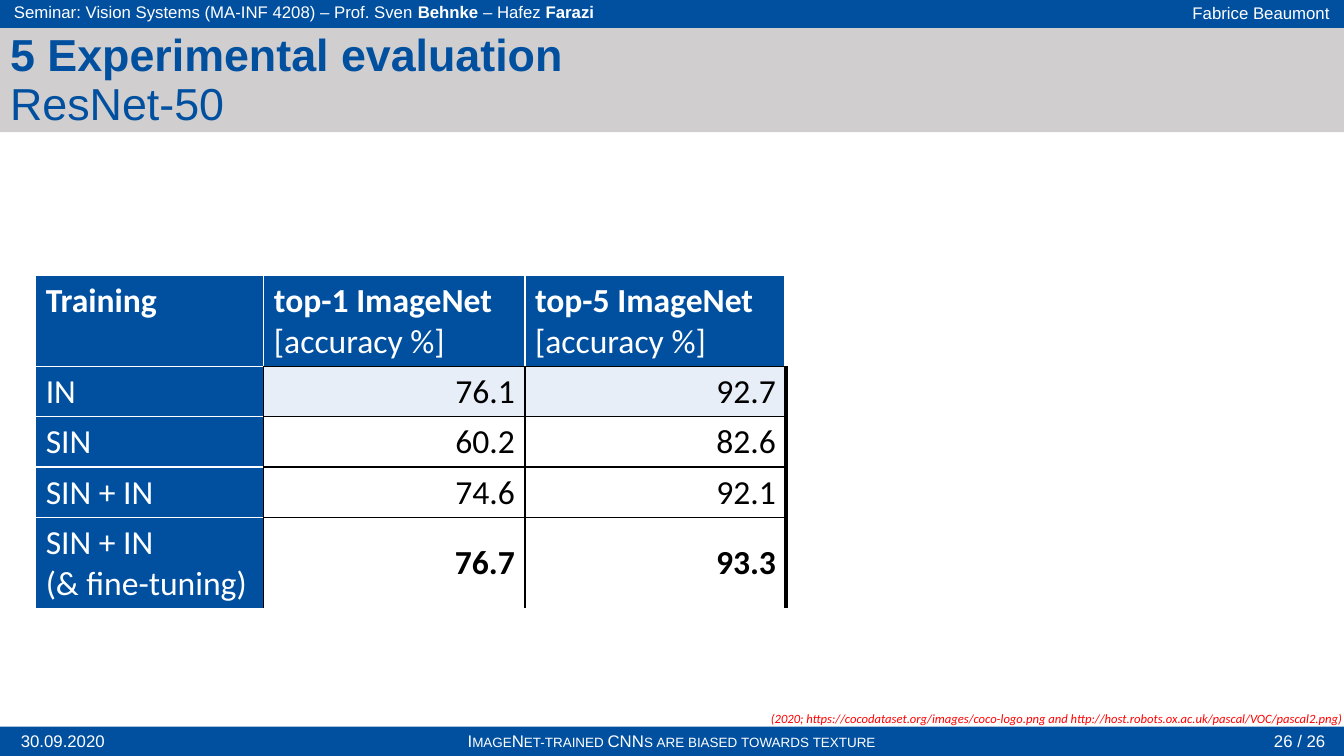
import pptx
import pptx.util
import pptx.dml.color
import pptx.enum.shapes
import pptx.enum.text
import pptx.oxml.ns
import lxml.etree

Cm, Pt = pptx.util.Cm, pptx.util.Pt
RGBColor = pptx.dml.color.RGBColor
ALIGN = pptx.enum.text.PP_ALIGN
ANCHOR = pptx.enum.text.MSO_ANCHOR

BLUE = RGBColor(0x01, 0x50, 0xA0)
GREY = RGBColor(0xD0, 0xCE, 0xCE)
PALE = RGBColor(0xE8, 0xEE, 0xF8)
WHITE = RGBColor(0xFF, 0xFF, 0xFF)
BLACK = RGBColor(0x00, 0x00, 0x00)
RED = RGBColor(0xFF, 0x00, 0x00)


def write(paragraph, pieces, font_name, size, color, align=ALIGN.LEFT):
    """Fill a paragraph with (text, bold) pieces; a piece "\\n" breaks the line."""
    paragraph.alignment = align
    paragraph.font.name = font_name
    paragraph.font.size = Pt(size)
    paragraph.font.color.rgb = color
    for text, bold in pieces:
        if text == "\n":
            paragraph.add_line_break()
            continue
        run = paragraph.add_run()
        run.text = text
        run.font.bold = bold


def set_border(cell, side, color, width):
    properties = cell._tc.get_or_add_tcPr()
    line = lxml.etree.SubElement(
        properties, pptx.oxml.ns.qn(f"a:ln{side}"), w=str(Pt(width)))
    fill = lxml.etree.SubElement(line, pptx.oxml.ns.qn("a:solidFill"))
    lxml.etree.SubElement(fill, pptx.oxml.ns.qn("a:srgbClr"), val=str(color))


presentation = pptx.Presentation()
presentation.slide_width = Cm(33.87)
presentation.slide_height = Cm(19.05)
slide = presentation.slides.add_slide(presentation.slide_layouts[5])
shapes = slide.shapes

# Header, footer and title bands
for top, height, color in [(18.31, 0.74, BLUE), (-0.03, 0.74, BLUE), (0.71, 2.62, GREY)]:
    band = shapes.add_shape(pptx.enum.shapes.MSO_SHAPE.RECTANGLE,
                            0, Cm(top), presentation.slide_width, Cm(height))
    band.shadow.inherit = False
    band.fill.solid()
    band.fill.fore_color.rgb = color
    band.line.fill.background()

seminar = [("Seminar: Vision Systems (MA-INF 4208) – Prof. Sven ", False), ("Behnke", True),
           (" – Hafez ", False), ("Farazi", True)]
talk = [("ImageNet-trained CNNs are biased towards texture", False)]
band_texts = [
    (26.44, -0.05, 7.32, [("Fabrice Beaumont", False)], ALIGN.RIGHT),
    (0.05, 18.31, 3.07, [("30.09.2020", False)], ALIGN.CENTER),
    (10.13, 18.31, 13.59, talk, ALIGN.CENTER),
    (0.1, -0.08, 20.96, seminar, ALIGN.LEFT),
    (31.34, 18.31, 2.31, [("26 / 26", False)], ALIGN.RIGHT),
]
for left, top, width, pieces, align in band_texts:
    frame = shapes.add_textbox(Cm(left), Cm(top), Cm(width), Cm(0.74)).text_frame
    frame.word_wrap = True
    frame.vertical_anchor = ANCHOR.MIDDLE
    write(frame.paragraphs[0], pieces, "Arial", 12, WHITE, align)
    if pieces is talk:
        frame.paragraphs[0].runs[0]._r.get_or_add_rPr().set("cap", "small")

# Title, brought in front of its band
title = shapes.title
title.left, title.top, title.width, title.height = 0, Cm(0.71), Cm(29.21), Cm(2.62)
shapes._spTree.append(title._element)
title.text_frame.vertical_anchor = ANCHOR.TOP
title.text_frame.auto_size = pptx.enum.text.MSO_AUTO_SIZE.NONE
heading = title.text_frame.paragraphs[0]
heading.line_spacing = 0.9
write(heading, [("5 Experimental evaluation", True), ("\n", False), ("ResNet-50", False)],
      "Arial", 32, BLUE)

# Image credits
credits = shapes.add_textbox(Cm(19.23), Cm(17.91), Cm(14.58), Cm(0.38)).text_frame
credits.word_wrap = True
credits.margin_left = credits.margin_right = credits.margin_top = credits.margin_bottom = 0
write(credits.paragraphs[0],
      [("(2020; https://cocodataset.org/images/coco-logo.png and "
        "http://host.robots.ox.ac.uk/pascal/VOC/pascal2.png)", False)],
      "Calibri", 9, RED, ALIGN.RIGHT)
credits.paragraphs[0].font.italic = True

# Accuracy table
unit = [("\n", False), ("[accuracy %]", False)]
results = [
    [[("Training", True)], [("top-1 ImageNet", True)] + unit, [("top-5 ImageNet", True)] + unit],
    [[("IN", False)], [("76.1", False)], [("92.7", False)]],
    [[("SIN", False)], [("60.2", False)], [("82.6", False)]],
    [[("SIN + IN", False)], [("74.6", False)], [("92.1", False)]],
    [[("SIN + IN", False), ("\n", False), ("(& fine-tuning)", False)],
     [("76.7", True)], [("93.3", True)]],
]
column_widths = [5.75, 6.58, 6.58]
row_heights = [2.27, 1.27, 1.27, 1.27, 2.3]
last_row, last_column = len(row_heights) - 1, len(column_widths) - 1
accuracy = shapes.add_table(len(row_heights), len(column_widths), Cm(0.9), Cm(6.94),
                            Cm(sum(column_widths)), Cm(sum(row_heights))).table
accuracy.first_row = accuracy.horz_banding = False
for column, width in zip(accuracy.columns, column_widths):
    column.width = Cm(width)
for row, height in zip(accuracy.rows, row_heights):
    row.height = Cm(height)

for r, result in enumerate(results):
    for c, pieces in enumerate(result):
        cell = accuracy.cell(r, c)
        is_value = r > 0 and c > 0
        line_color = BLACK if is_value else WHITE
        right_width = 3 if c == last_column else 1
        bottom_color = BLACK if c > 0 and r < last_row else WHITE
        right_color = BLACK if r > 0 and c == 0 else line_color
        set_border(cell, "L", line_color, 1)
        set_border(cell, "R", right_color, right_width)
        set_border(cell, "T", BLACK if is_value else WHITE, 1)
        set_border(cell, "B", bottom_color, 1)
        if is_value and r > 1:
            cell.fill.background()
        else:
            cell.fill.solid()
            cell.fill.fore_color.rgb = PALE if is_value else BLUE
        cell.vertical_anchor = ANCHOR.MIDDLE if is_value else ANCHOR.TOP
        write(cell.text_frame.paragraphs[0], pieces, "Calibri", 24,
              BLACK if is_value else WHITE, ALIGN.RIGHT if is_value else ALIGN.LEFT)

presentation.save("out.pptx")
